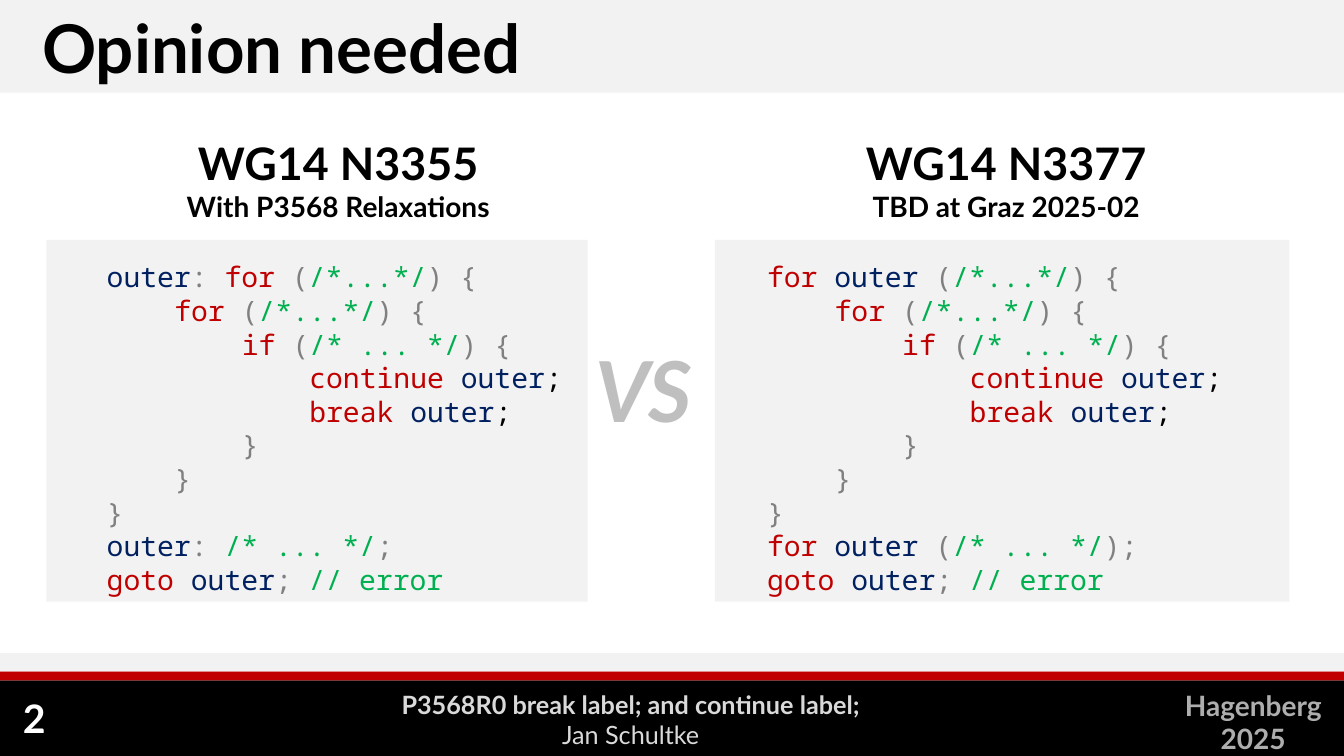
from dataclasses import dataclass

from pptx import Presentation
from pptx.dml.color import RGBColor
from pptx.enum.shapes import MSO_SHAPE
from pptx.enum.text import MSO_ANCHOR, PP_ALIGN
from pptx.util import Emu, Pt

PX = 9144
RECT = MSO_SHAPE.RECTANGLE
LEFT, MID, RIGHT = PP_ALIGN.LEFT, PP_ALIGN.CENTER, PP_ALIGN.RIGHT
TOP, CENTER = MSO_ANCHOR.TOP, MSO_ANCHOR.MIDDLE

BLACK, WHITE, PALE, RED = "000000", "FFFFFF", "F2F2F2", "C00000"
SANS, MONO = "Lato", "Noto Sans Mono"
INK = {"key": RED, "name": "002060", "sign": "808080", "note": "00B050", "end": BLACK}
INSET, STEP = 50, 67


@dataclass(frozen=True)
class Box:
    x: int
    y: int
    w: int
    h: int


@dataclass(frozen=True)
class Band:
    box: Box
    fill: str


@dataclass(frozen=True)
class Line:
    text: str
    size: int
    color: str
    bold: bool = True
    slant: bool = False


@dataclass(frozen=True)
class Label:
    box: Box
    lines: tuple[Line, ...]
    align: PP_ALIGN = MID
    anchor: MSO_ANCHOR = TOP
    inset: int = 0


@dataclass(frozen=True)
class Code:
    depth: int
    words: tuple[tuple[str, str], ...]


@dataclass(frozen=True)
class Panel:
    back: Box
    text: Box
    head: str
    sub: str
    first: Code
    last: Code


def px(n: int) -> Emu:
    return Emu(n * PX)


def rgb(color: str) -> RGBColor:
    return RGBColor.from_string(color)


def indent(para, n: int) -> None:
    para._p.get_or_add_pPr().set("marL", str(px(n)))


def draw_band(slide, band: Band) -> None:
    b = band.box
    shape = slide.shapes.add_shape(RECT, px(b.x), px(b.y), px(b.w), px(b.h))
    shape.shadow.inherit = False
    shape.fill.solid()
    shape.fill.fore_color.rgb = rgb(band.fill)
    shape.line.fill.background()


def draw_label(slide, label: Label):
    b = label.box
    frame = slide.shapes.add_textbox(px(b.x), px(b.y), px(b.w), px(b.h)).text_frame
    frame.word_wrap = True
    frame.vertical_anchor = label.anchor
    for i, line in enumerate(label.lines):
        para = frame.add_paragraph() if i else frame.paragraphs[0]
        para.alignment = label.align
        indent(para, label.inset)
        font = para.font
        font.name, font.size = SANS, Pt(line.size)
        font.bold, font.italic = line.bold, line.slant
        font.color.rgb = rgb(line.color)
        para.add_run().text = line.text
    return frame


def draw_panel(slide, panel: Panel) -> None:
    draw_band(slide, Band(panel.back, PALE))
    head = (Line(panel.head, 32, BLACK), Line(panel.sub, 20, BLACK))
    frame = draw_label(slide, Label(panel.text, head, inset=INSET))
    for i, code in enumerate((panel.first, *BODY, panel.last, GOTO)):
        para = frame.add_paragraph()
        para.alignment = LEFT
        para.line_spacing = Pt(24)
        para.space_before = Pt(0 if i else 26)
        indent(para, INSET + code.depth * STEP)
        para.font.name, para.font.size, para.font.bold = MONO, Pt(20), False
        for kind, text in code.words:
            run = para.add_run()
            run.text = text
            run.font.color.rgb = rgb(INK[kind])


def jump(word: str) -> Code:
    return Code(3, (("key", word), ("name", " outer"), ("end", ";")))


LOOP = (("sign", "("), ("note", "/*...*/"), ("sign", ") {"))
TEST = (("sign", "("), ("note", "/* ... */"), ("sign", ") {"))
BODY = (
    Code(1, (("key", "for "), *LOOP)),
    Code(2, (("key", "if "), *TEST)),
    jump("continue"),
    jump("break"),
    *(Code(depth, (("sign", "}"),)) for depth in (2, 1, 0)),
)
GOTO = Code(0, (("key", "goto "), ("name", "outer"), ("sign", ";"), ("note", " // error")))

PANELS = (
    Panel(
        Box(46, 238, 537, 359), Box(46, 130, 529, 468),
        "WG14 N3355", "With P3568 Relaxations",
        Code(0, (("name", "outer"), ("sign", ": "), ("key", "for "), *LOOP)),
        Code(0, (("name", "outer"), ("sign", ": "), ("note", "/* ... */"), ("sign", ";"))),
    ),
    Panel(
        Box(709, 238, 570, 359), Box(701, 130, 544, 468),
        "WG14 N3377", "TBD at Graz 2025-02",
        Code(0, (("key", "for "), ("name", "outer "), *LOOP)),
        Code(0, (("key", "for "), ("name", "outer"), ("sign", " ("),
                 ("note", "/* ... */"), ("sign", ");"))),
    ),
)
BANDS = (
    Band(Box(0, 0, 1333, 92), PALE),
    Band(Box(0, 675, 1333, 75), BLACK),
    Band(Box(0, 666, 1333, 9), RED),
    Band(Box(0, 648, 1333, 18), PALE),
)
LABELS = (
    Label(Box(32, 1, 1154, 91), (Line("Opinion needed", 48, BLACK),), LEFT),
    Label(Box(1131, 678, 224, 77),
          (Line("Hagenberg", 20, "AEAEAE"), Line("2025", 20, "AEAEAE"))),
    Label(Box(10, 692, 45, 40), (Line("2", 28, WHITE),), RIGHT, CENTER),
    Label(Box(146, 679, 959, 71),
          (Line("P3568R0 break label; and continue label;", 18, "D9D9D9"),
           Line("Jan Schultke", 18, "D9D9D9", bold=False))),
    Label(Box(547, 331, 183, 111), (Line("VS", 60, "BFBFBF", slant=True),)),
)


def main() -> None:
    deck = Presentation()
    deck.slide_width, deck.slide_height = px(1333), px(750)
    slide = deck.slides.add_slide(deck.slide_layouts[6])
    for panel in PANELS:
        draw_panel(slide, panel)
    for band in BANDS:
        draw_band(slide, band)
    for label in LABELS:
        draw_label(slide, label)
    deck.save("out.pptx")


if __name__ == "__main__":
    main()
